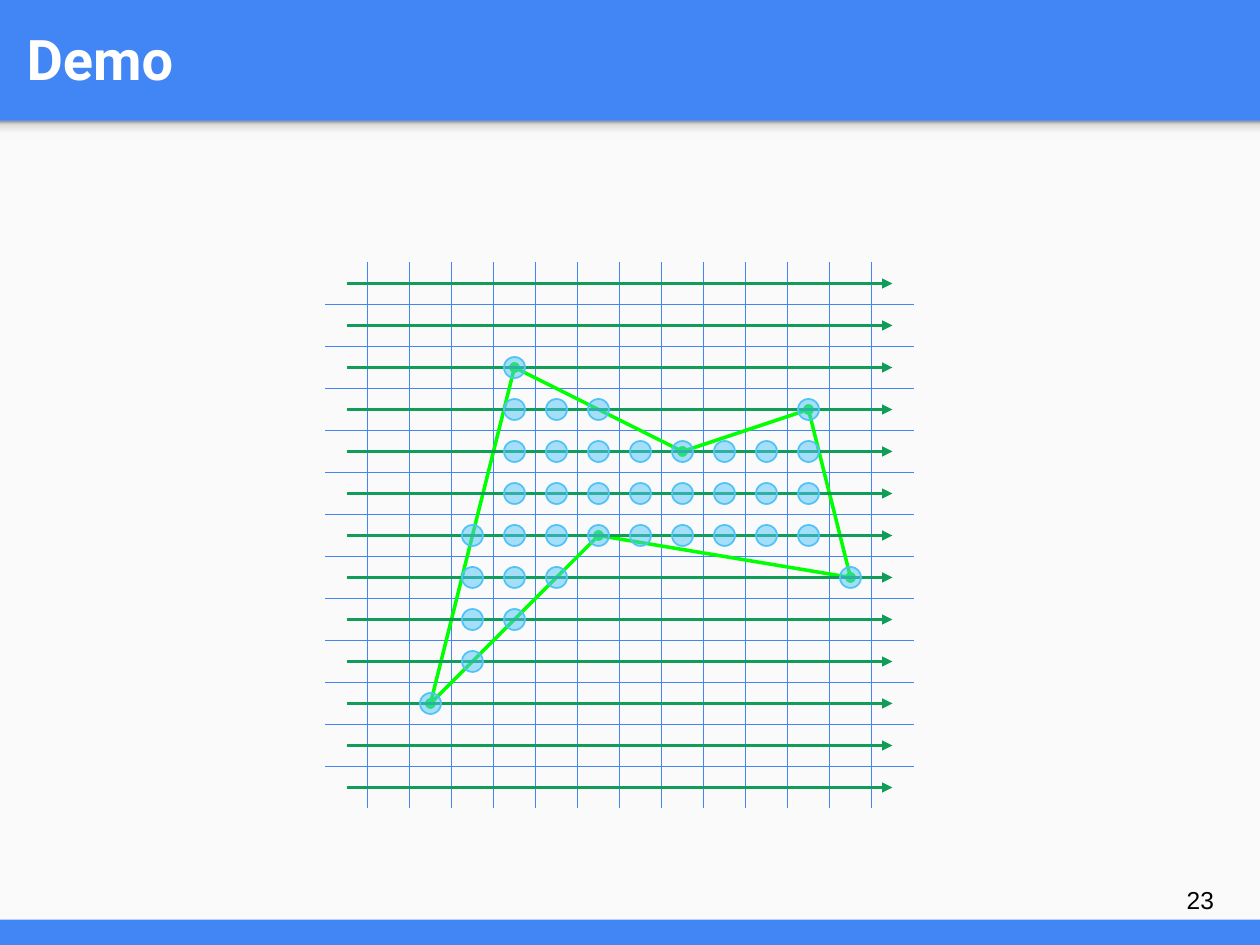
from dataclasses import dataclass
from itertools import pairwise

from pptx import Presentation
from pptx import util as u
from pptx.dml import color
from pptx.enum import shapes, text
from pptx.oxml import ns, xmlchemy


@dataclass(frozen=True)
class Theme:
    blue: str = "4285F4"
    paper: str = "FAFAFA"
    outline: str = "00FF00"
    scan: str = "0F9D58"
    sample: str = "4FC3F7"
    white: str = "FFFFFF"
    black: str = "000000"
    title_font: str = "Roboto"
    body_font: str = "Arial"
    title_size: float = 32
    number_size: float = 14
    # Header shadow: (position in percent, colour)
    shadow: tuple = ((0, "F9F9F9"), (36, "F9F9F9"), (80, "DEDEDE"), (100, "999999"))


def rgb(value):
    return color.RGBColor.from_string(value)


def apply(target, **values):
    for name, value in values.items():
        setattr(target, name, value)


def add_xml(parent, tag, **attributes):
    child = xmlchemy.OxmlElement(tag)
    for name, value in attributes.items():
        child.set(name, str(value))
    parent.append(child)
    return child


class Deck:
    """Holds the theme and the current slide; all lengths are in points."""

    def __init__(self, theme, width, height):
        self.theme = theme
        self.show = Presentation()
        apply(self.show, slide_width=u.Pt(width), slide_height=u.Pt(height))
        self.slide = self.show.slides.add_slide(self.show.slide_layouts[5])
        background = self.slide.background.fill
        background.solid()
        background.fore_color.rgb = rgb(theme.blue)

    def shape(self, kind, box, fill, alpha=None, line=None):
        item = self.slide.shapes.add_shape(kind, *map(u.Pt, box))
        item.shadow.inherit = False
        item.fill.solid()
        item.fill.fore_color.rgb = rgb(fill)
        if alpha is not None:
            tint = item.element.spPr.find(ns.qn("a:solidFill"))[0]
            add_xml(tint, "a:alpha", val=alpha * 1000)
        if line:
            item.line.color.rgb = rgb(line)
            item.line.width = u.Pt(1)
        else:
            item.line.fill.background()
        return item

    def gradient(self, box, stops, angle):
        band = self.shape(shapes.MSO_SHAPE.RECTANGLE, box, stops[0][1])
        band.fill.gradient()
        band.fill.gradient_angle = angle
        stop_list = band.element.spPr.find(".//" + ns.qn("a:gsLst"))
        stop_list.clear()
        for position, tint in stops:
            stop = add_xml(stop_list, "a:gs", pos=position * 1000)
            add_xml(stop, "a:srgbClr", val=tint)

    def line(self, start, end, tint, width, head=None, tail=None):
        item = self.slide.shapes.add_connector(
            shapes.MSO_CONNECTOR.STRAIGHT, *map(u.Pt, (*start, *end)))
        item.line.color.rgb = rgb(tint)
        item.line.width = u.Pt(width)
        outline = item.element.spPr.find(ns.qn("a:ln"))
        for tag, kind in (("a:headEnd", head), ("a:tailEnd", tail)):
            if kind:
                add_xml(outline, tag, type=kind)
        add_xml(item.element.spPr, "a:effectLst")

    def set_text(self, holder, box, words, tint, **font):
        apply(holder, **dict(zip(("left", "top", "width", "height"), map(u.Pt, box))))
        frame = holder.text_frame
        inset = u.Pt(7.2)
        apply(frame, text=words, word_wrap=True, auto_size=text.MSO_AUTO_SIZE.NONE,
              vertical_anchor=text.MSO_ANCHOR.MIDDLE, margin_left=inset,
              margin_right=inset, margin_top=inset, margin_bottom=inset)
        frame.paragraphs[0].alignment = text.PP_ALIGN.LEFT
        run_font = frame.paragraphs[0].runs[0].font
        apply(run_font, **font)
        run_font.color.rgb = rgb(tint)

    def title(self, box, words):
        self.set_text(self.slide.shapes.title, box, words, self.theme.white, bold=True,
                      name=self.theme.title_font, size=u.Pt(self.theme.title_size))

    def label(self, box, words):
        holder = self.slide.shapes.add_textbox(*map(u.Pt, box))
        self.set_text(holder, box, words, self.theme.black, name=self.theme.body_font,
                      size=u.Pt(self.theme.number_size))


# Pixel grid
CELL = 24
COLUMNS, ROWS = 14, 13
LEFT, TOP = 186, 150
RIGHT, BOTTOM = LEFT + COLUMNS * CELL, TOP + ROWS * CELL
DOT = 12

# Polygon corners as (column, row), and the filled columns of each row
CORNERS = [(2, 10), (4, 2), (8, 4), (11, 3), (12, 7), (6, 6)]
FILLED = {2: [4], 3: [4, 5, 6, 11], 4: range(4, 12), 5: range(4, 12),
          6: range(3, 12), 7: [3, 4, 5, 12], 8: [3, 4], 9: [3], 10: [2]}


def center(column, row):
    return LEFT + (column + 0.5) * CELL, TOP + (row + 0.5) * CELL


def main():
    theme = Theme()
    deck = Deck(theme, 720, 540)

    # Page, header shadow, title and page number
    deck.shape(shapes.MSO_SHAPE.RECTANGLE, (0, 69.1, 720, 456.5), theme.paper)
    deck.gradient((0, 69.1, 720, 11.5), theme.shadow, 90)
    deck.title((8, 1.5, 695, 63.5), "Demo")
    deck.label((671, 493.5, 43, 41), "23")

    # Grid lines between the pixels
    for row in range(1, ROWS):
        y = TOP + row * CELL
        deck.line((LEFT, y), (RIGHT, y), theme.blue, 1)
    for column in range(1, COLUMNS):
        x = LEFT + column * CELL
        deck.line((x, TOP), (x, BOTTOM), theme.blue, 1)

    # Polygon outline
    for start, end in pairwise(CORNERS + CORNERS[:1]):
        deck.line(center(*start), center(*end), theme.outline, 2, "oval", "oval")

    # Scan lines, each with the pixels it fills
    for row in range(ROWS):
        deck.line(center(0, row), center(COLUMNS - 1, row), theme.scan, 1.5,
                  tail="triangle")
        for column in FILLED.get(row, []):
            x, y = center(column, row)
            deck.shape(shapes.MSO_SHAPE.OVAL, (x - DOT / 2, y - DOT / 2, DOT, DOT),
                       theme.sample, alpha=50, line=theme.sample)

    deck.show.save("out.pptx")


if __name__ == "__main__":
    main()
